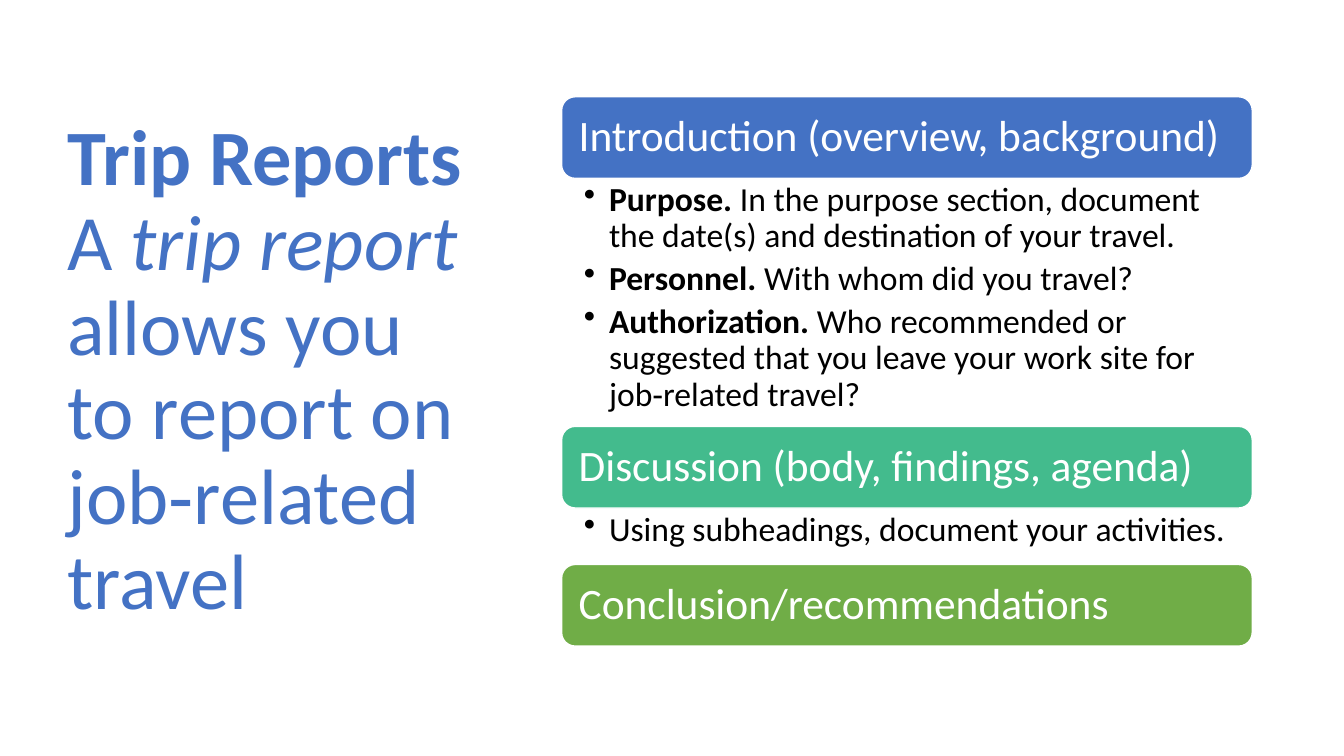
import pptx
import pptx.dml.color
import pptx.enum.shapes
import pptx.enum.text
import pptx.oxml.ns
import pptx.util
from lxml import etree

Inches = pptx.util.Inches
RGBColor = pptx.dml.color.RGBColor
MIDDLE = pptx.enum.text.MSO_ANCHOR.MIDDLE
TOP = pptx.enum.text.MSO_ANCHOR.TOP

BLUE = RGBColor(0x44, 0x72, 0xC4)
TEAL = RGBColor(0x43, 0xBB, 0x8D)
GREEN = RGBColor(0x70, 0xAD, 0x47)
WHITE = RGBColor(0xFF, 0xFF, 0xFF)
BLACK = RGBColor(0x00, 0x00, 0x00)

LIST_LEFT, LIST_TOP, LIST_WIDTH = 5.57, 0.96, 6.85
BAR_HEIGHT = 0.81

# Each section: heading, colour, height of its points, points as (lead, text)
SECTIONS = [
    ("Introduction (overview, background)", BLUE, 2.46, [
        ("Purpose. ", "In the purpose section, document the date(s) and destination of your travel."),
        ("Personnel. ", "With whom did you travel?"),
        ("Authorization. ", "Who recommended or suggested that you leave your work site for job‐related travel?"),
    ]),
    ("Discussion (body, findings, agenda)", TEAL, 0.56, [
        ("", "Using subheadings, document your activities."),
    ]),
    ("Conclusion/recommendations", GREEN, 0, []),
]


class ReportPage:
    """Holds the text style and the current slide."""

    font_name = "Calibri"
    line_spacing = 0.9

    def __init__(self, deck):
        self.page = deck.slides.add_slide(deck.slide_layouts[6])

    def frame(self, shape, anchor, insets):
        frame = shape.text_frame
        frame.word_wrap = True
        frame.vertical_anchor = anchor
        frame.margin_left, frame.margin_top, frame.margin_right, frame.margin_bottom = map(Inches, insets)
        return frame

    def text_box(self, left, top, width, height, anchor, insets):
        box = self.page.shapes.add_textbox(*map(Inches, (left, top, width, height)))
        return self.frame(box, anchor, insets)

    def span(self, para, text, size, color, bold=False, italic=False):
        para.line_spacing = self.line_spacing
        span = para.add_run()
        span.text = text
        span.font.name = self.font_name
        span.font.size = pptx.util.Pt(size)
        span.font.color.rgb = color
        span.font.bold = bold
        span.font.italic = italic

    def title(self, heading, sentence):
        frame = self.text_box(0.57, 0.68, 4.16, 6.02, MIDDLE, (0.1, 0.05, 0.1, 0.05))
        para = frame.paragraphs[0]
        self.span(para, heading, 56, BLUE, bold=True)
        para.add_line_break()
        for text, italic in sentence:
            self.span(para, text, 56, BLUE, italic=italic)

    def bar(self, top, text, color):
        bar = self.page.shapes.add_shape(
            pptx.enum.shapes.MSO_SHAPE.ROUNDED_RECTANGLE,
            *map(Inches, (LIST_LEFT, top, LIST_WIDTH, BAR_HEIGHT)))
        bar.shadow.inherit = False
        bar.fill.solid()
        bar.fill.fore_color.rgb = color
        bar.line.color.rgb = WHITE
        bar.line.width = pptx.util.Pt(1)
        para = self.frame(bar, MIDDLE, [0.13] * 4).paragraphs[0]
        para.alignment = pptx.enum.text.PP_ALIGN.LEFT
        self.span(para, text, 31, WHITE)

    def points(self, top, height, points):
        frame = self.text_box(LIST_LEFT, top, LIST_WIDTH, height, TOP, (0.22, 0.04, 0.24, 0.04))
        for index, (lead, text) in enumerate(points):
            para = frame.add_paragraph() if index else frame.paragraphs[0]
            self.bullet(para)
            para.space_after = pptx.util.Pt(4.8)
            if lead:
                self.span(para, lead, 24, BLACK, bold=True)
            self.span(para, text, 24, BLACK)

    def bullet(self, para):
        properties = para._p.get_or_add_pPr()
        properties.set("marL", str(Inches(0.25)))
        properties.set("indent", str(Inches(-0.25)))
        mark = etree.SubElement(properties, pptx.oxml.ns.qn("a:buChar"))
        mark.set("char", "•")


def main():
    deck = pptx.Presentation()
    deck.slide_width, deck.slide_height = Inches(13.33), Inches(7.5)
    report = ReportPage(deck)

    # Title on the left
    report.title("Trip Reports", [
        ("A ", False),
        ("trip report ", True),
        ("allows you to report on job‐related travel", False),
    ])

    # Sections stacked on the right
    top = LIST_TOP
    for heading, color, height, points in SECTIONS:
        report.bar(top, heading, color)
        top += BAR_HEIGHT
        if points:
            report.points(top, height, points)
            top += height

    deck.save("out.pptx")


if __name__ == "__main__":
    main()
